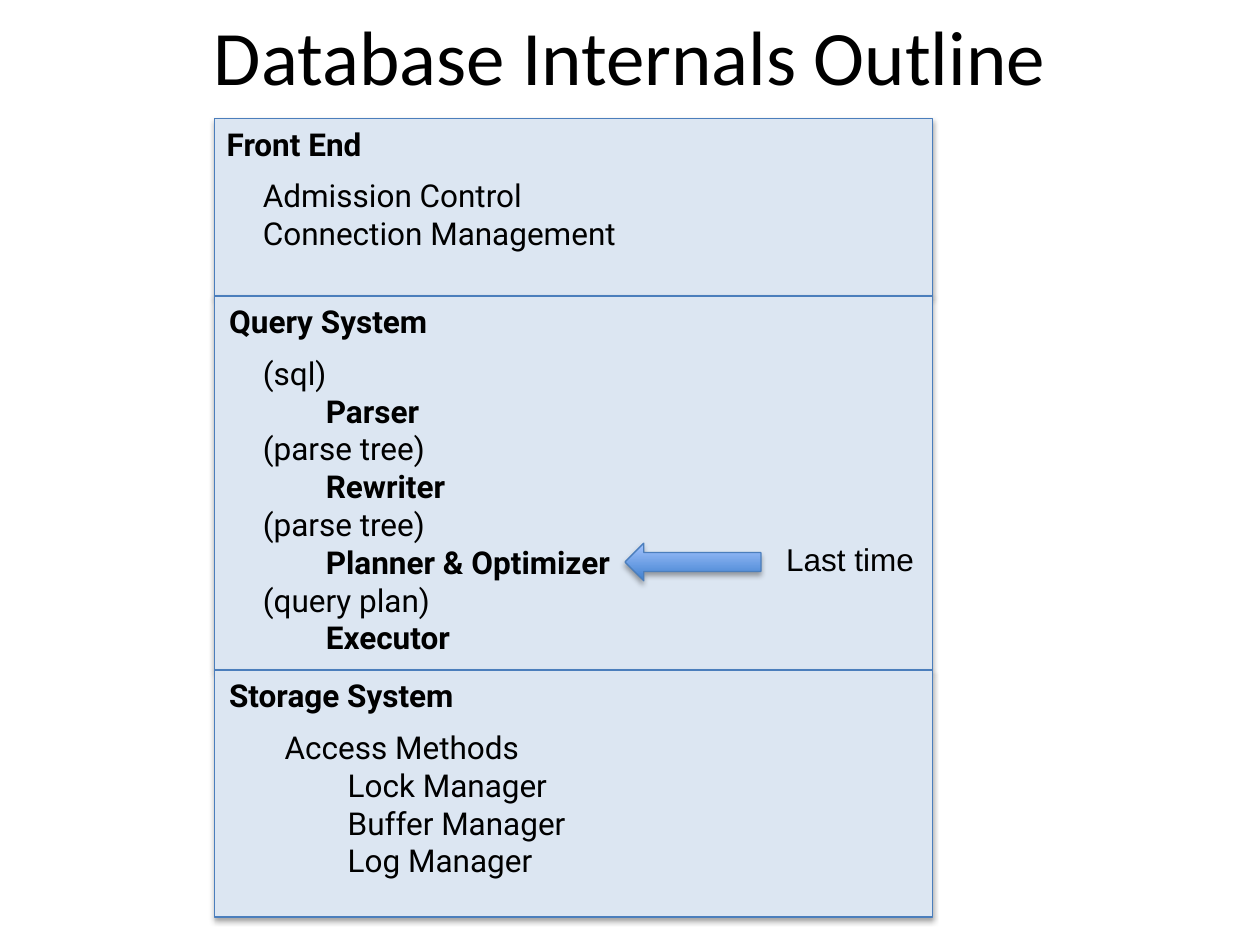
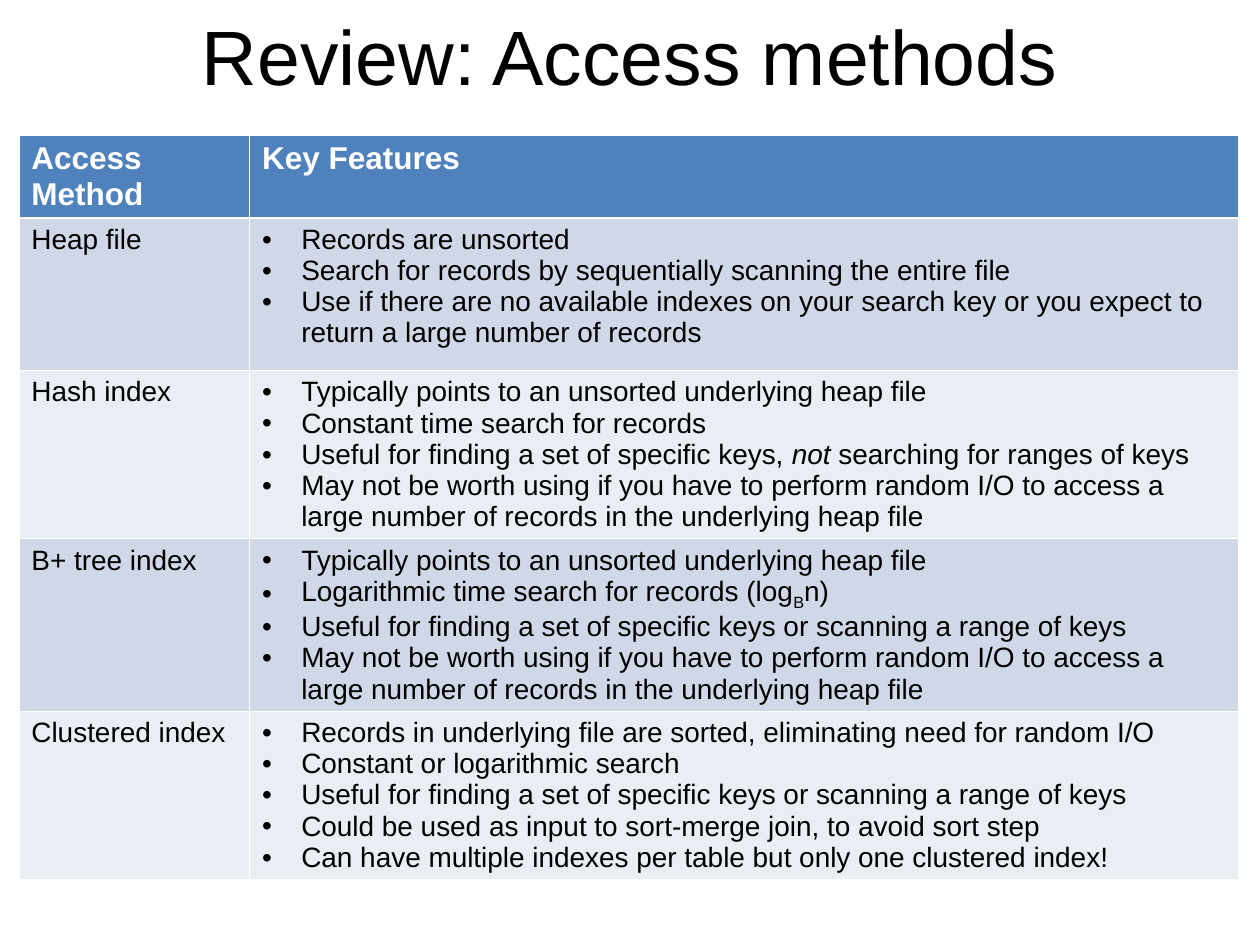
from lxml.etree import SubElement
from pptx import Presentation
from pptx.dml.color import RGBColor
from pptx.enum.shapes import MSO_SHAPE
from pptx.enum.text import MSO_ANCHOR, PP_ALIGN
from pptx.oxml.ns import qn
from pptx.util import Cm, Pt

COLORS = {
    "text": "000000",
    "panel": "DCE6F2",
    "outline": "4B7EBC",
    "arrow_dark": "3F80CE",
    "arrow_light": "A4C4FF",
    "header": "4F81BD",
    "header_text": "FFFFFF",
    "odd_row": "D0D8E8",
    "even_row": "E9EDF4",
}

OUTLINE_TITLE = "Database Internals Outline"
SECTIONS = [
    {
        "heading": "Front End", "heading_left": 4.32, "items_left": 5.05, "height": 3.58,
        "items": [("Admission Control", 0, False), ("Connection Management", 0, False)],
    },
    {
        "heading": "Query System", "heading_left": 4.37, "items_left": 5.05, "height": 7.54,
        "items": [
            ("(sql)", 0, False), ("Parser", 1, True),
            ("(parse tree)", 0, False), ("Rewriter", 1, True),
            ("(parse tree)", 0, False), ("Planner & Optimizer", 1, True),
            ("(query plan)", 0, False), ("Executor", 1, True),
        ],
    },
    {
        "heading": "Storage System", "heading_left": 4.37, "items_left": 5.49, "height": 4.98,
        "items": [
            ("Access Methods", 0, False), ("Lock Manager", 1, False),
            ("Buffer Manager", 1, False), ("Log Manager", 1, False),
        ],
    },
]
PROGRESS_NOTE = "Last time"

REVIEW_TITLE = "Review: Access methods"
HEADINGS = ["Access Method", "Key Features"]
UNSORTED_HEAP = "Typically points to an unsorted underlying heap file"
RANGE_SCAN = "Useful for finding a set of specific keys or scanning a range of keys"
RANDOM_IO = ("May not be worth using if you have to perform random I/O to access a "
             "large number of records in the underlying heap file")
ACCESS_METHODS = [
    ("Heap file", [
        "Records are unsorted",
        "Search for records by sequentially scanning the entire file",
        "Use if there are no available indexes on your search key or you expect to "
        "return a large number of records",
    ]),
    ("Hash index", [
        UNSORTED_HEAP,
        "Constant time search for records",
        [("Useful for finding a set of specific keys, ", ""), ("not", "italic"),
         (" searching for ranges of keys", "")],
        RANDOM_IO,
    ]),
    ("B+ tree index", [
        UNSORTED_HEAP,
        [("Logarithmic time search for records (log", ""), ("B", "subscript"), ("n)", "")],
        RANGE_SCAN,
        RANDOM_IO,
    ]),
    ("Clustered index", [
        "Records in underlying file are sorted, eliminating need for random I/O",
        "Constant or logarithmic search",
        RANGE_SCAN,
        "Could be used as input to sort-merge join, to avoid sort step",
        "Can have multiple indexes per table but only one clustered index!",
    ]),
]
COLUMN_WIDTHS = [4.65, 19.94]
ROW_HEIGHTS = [1.63, 3.07, 3.38, 3.48, 3.38]

PANEL_LEFT, PANEL_TOP, PANEL_WIDTH = 4.32, 2.39, 14.48
ITEMS_DROP = 1.04


def rgb(name):
    return RGBColor.from_string(COLORS[name])


def add_run(paragraph, text, font, size, bold=False, color="text", style=""):
    run = paragraph.add_run()
    run.text = text
    run.font.name = font
    run.font.size = Pt(size)
    run.font.bold = bold
    run.font.color.rgb = rgb(color)
    if style == "italic":
        run.font.italic = True
    if style == "subscript":
        run.font._element.set("baseline", "-25000")


def add_paragraph(frame, index):
    return frame.paragraphs[0] if index == 0 else frame.add_paragraph()


def indent(paragraph, left, first=0.0):
    properties = paragraph._p.get_or_add_pPr()
    properties.set("marL", str(Cm(left)))
    properties.set("indent", str(Cm(first)))
    return properties


def add_titled_slide(deck, title, font):
    slide = deck.slides.add_slide(deck.slide_layouts[5])
    heading = slide.shapes.title
    heading.left, heading.top = Cm(1.27), Cm(-0.48)
    heading.width, heading.height = Cm(22.86), Cm(3.18)
    heading.text_frame.vertical_anchor = MSO_ANCHOR.MIDDLE
    paragraph = heading.text_frame.paragraphs[0]
    paragraph.alignment = PP_ALIGN.CENTER
    add_run(paragraph, title, font, 44)
    return slide


def add_lines(slide, left, top, width, lines, font="Roboto"):
    box = slide.shapes.add_textbox(Cm(left), Cm(top), Cm(width), Cm(0.25 + 0.76 * len(lines)))
    box.text_frame.word_wrap = True
    for index, (text, level, bold) in enumerate(lines):
        paragraph = add_paragraph(box.text_frame, index)
        indent(paragraph, 1.27 * level)
        add_run(paragraph, text, font, 18, bold)


def add_raised_shape(slide, kind, left, top, width, height):
    shape = slide.shapes.add_shape(kind, Cm(left), Cm(top), Cm(width), Cm(height))
    shape.line.color.rgb = rgb("outline")
    shape.line.width = Pt(0.75)
    shape.shadow.inherit = False
    effects = shape._element.spPr.find(qn("a:effectLst"))
    shadow = SubElement(effects, qn("a:outerShdw"), blurRad=str(Pt(3.1)), dist=str(Pt(1.8)),
                        dir="5400000", rotWithShape="0")
    shade = SubElement(shadow, qn("a:srgbClr"), val=COLORS["text"])
    SubElement(shade, qn("a:alpha"), val="35000")
    return shape


def build_outline(deck):
    slide = add_titled_slide(deck, OUTLINE_TITLE, "Calibri")
    top = PANEL_TOP
    for section in SECTIONS:
        panel = add_raised_shape(slide, MSO_SHAPE.RECTANGLE, PANEL_LEFT, top,
                                 PANEL_WIDTH, section["height"])
        panel.fill.solid()
        panel.fill.fore_color.rgb = rgb("panel")
        add_lines(slide, section["heading_left"], top, 6, [(section["heading"], 0, True)])
        add_lines(slide, section["items_left"], top + ITEMS_DROP, 12.7, section["items"])
        top += section["height"]

    arrow = add_raised_shape(slide, MSO_SHAPE.LEFT_ARROW, 12.6, 10.95, 2.74, 0.76)
    arrow.fill.gradient()
    arrow.fill.gradient_angle = 90
    for stop, color in zip(arrow.fill.gradient_stops, ("arrow_dark", "arrow_light")):
        stop.color.rgb = rgb(color)
    add_lines(slide, 15.6, 10.77, 4.14, [(PROGRESS_NOTE, 0, False)], "Arial")


def fill_cell(cell, color):
    cell.fill.solid()
    cell.fill.fore_color.rgb = rgb(color)


def build_review(deck):
    slide = add_titled_slide(deck, REVIEW_TITLE, "Arial")
    table = slide.shapes.add_table(
        len(ROW_HEIGHTS), len(COLUMN_WIDTHS), Cm(0.38), Cm(2.72),
        Cm(sum(COLUMN_WIDTHS)), Cm(sum(ROW_HEIGHTS))).table
    for column, width in zip(table.columns, COLUMN_WIDTHS):
        column.width = Cm(width)
    for row, height in zip(table.rows, ROW_HEIGHTS):
        row.height = Cm(height)

    for cell, heading in zip(table.rows[0].cells, HEADINGS):
        fill_cell(cell, "header")
        add_run(cell.text_frame.paragraphs[0], heading, "Arial", 18, True, "header_text")

    for number, (method, features) in enumerate(ACCESS_METHODS, start=1):
        method_cell, features_cell = table.rows[number].cells
        for cell in (method_cell, features_cell):
            fill_cell(cell, "odd_row" if number % 2 else "even_row")
        add_run(method_cell.text_frame.paragraphs[0], method, "Arial", 16)
        for index, feature in enumerate(features):
            paragraph = add_paragraph(features_cell.text_frame, index)
            properties = indent(paragraph, 0.79, -0.79)
            SubElement(properties, qn("a:buFont"), typeface="Arial")
            SubElement(properties, qn("a:buChar"), char="•")
            parts = [(feature, "")] if isinstance(feature, str) else feature
            for text, style in parts:
                add_run(paragraph, text, "Arial", 16, style=style)


def main():
    deck = Presentation()
    deck.slide_width, deck.slide_height = Cm(25.4), Cm(19.05)
    build_outline(deck)
    build_review(deck)
    deck.save("out.pptx")


if __name__ == "__main__":
    main()
